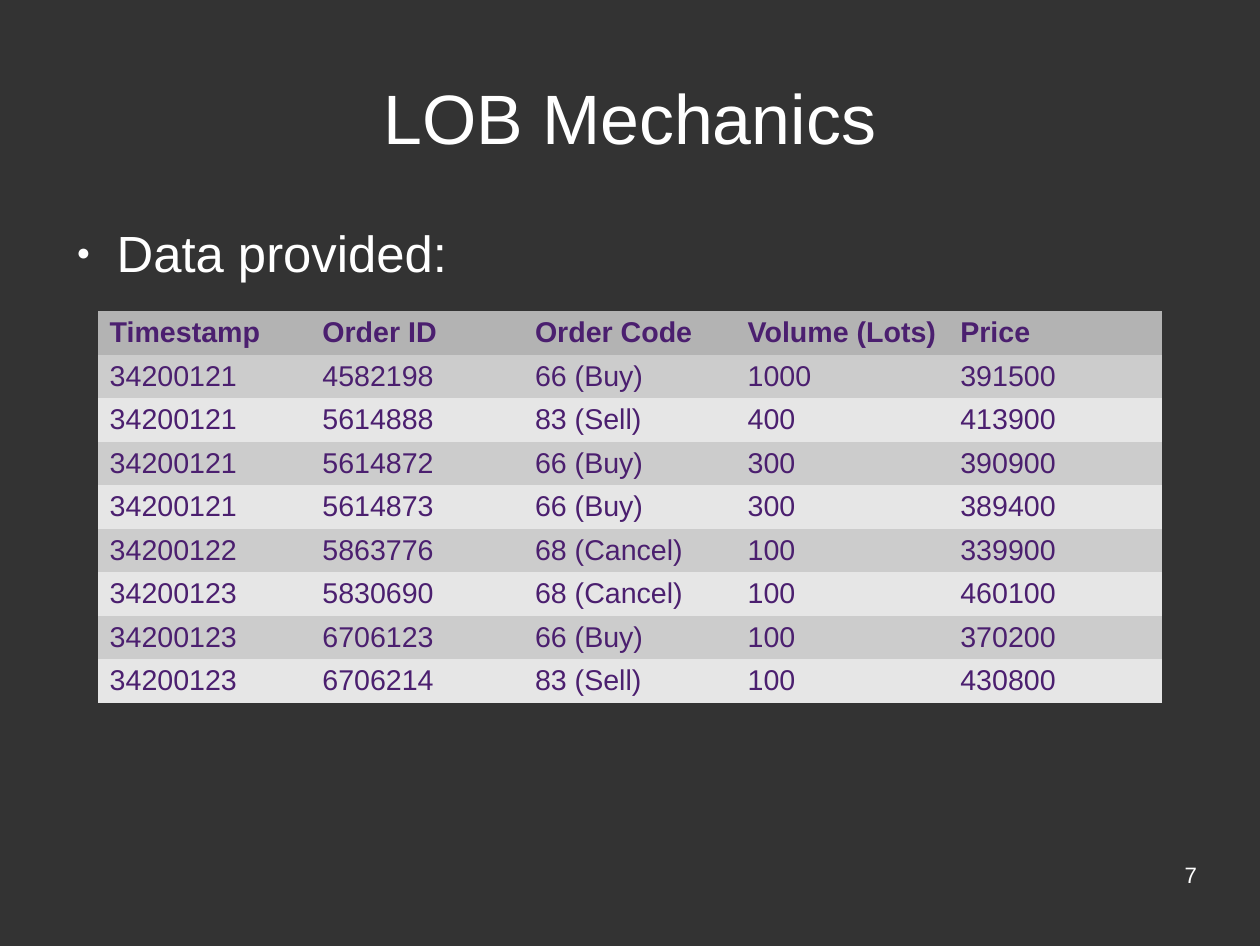
"""Build the LOB Mechanics slide with its table of order data."""
from dataclasses import astuple, dataclass

import lxml.etree
import pptx
import pptx.dml.color
import pptx.enum.text
import pptx.oxml.ns
import pptx.presentation
import pptx.shapes.base
import pptx.slide
import pptx.table
import pptx.text.text
import pptx.util

Inches = pptx.util.Inches
RGBColor = pptx.dml.color.RGBColor
Align = pptx.enum.text.PP_ALIGN
Anchor = pptx.enum.text.MSO_ANCHOR
qn = pptx.oxml.ns.qn

BACKGROUND = RGBColor(0x33, 0x33, 0x33)
WHITE = RGBColor(0xFF, 0xFF, 0xFF)
PURPLE = RGBColor(0x4B, 0x1F, 0x6F)
HEADER_GREY = RGBColor(0xB3, 0xB3, 0xB3)
BAND_GREYS = (RGBColor(0xCC, 0xCC, 0xCC), RGBColor(0xE6, 0xE6, 0xE6))
FONT = "Arial"
PLAIN_TABLE_STYLE = "{2D5ABB26-0587-4C30-8999-92F81FD0307C}"
COLUMN_WIDTH, ROW_HEIGHT = 1.86, 0.38


@dataclass(frozen=True)
class Order:
    timestamp: str
    order_id: str
    code: str
    volume: str
    price: str


HEADINGS = Order("Timestamp", "Order ID", "Order Code", "Volume (Lots)", "Price")
ORDERS = [
    Order("34200121", "4582198", "66 (Buy)", "1000", "391500"),
    Order("34200121", "5614888", "83 (Sell)", "400", "413900"),
    Order("34200121", "5614872", "66 (Buy)", "300", "390900"),
    Order("34200121", "5614873", "66 (Buy)", "300", "389400"),
    Order("34200122", "5863776", "68 (Cancel)", "100", "339900"),
    Order("34200123", "5830690", "68 (Cancel)", "100", "460100"),
    Order("34200123", "6706123", "66 (Buy)", "100", "370200"),
    Order("34200123", "6706214", "83 (Sell)", "100", "430800"),
]


def style(paragraph: pptx.text.text._Paragraph, size: float, color: RGBColor,
          bold: bool = False) -> None:
    for run in paragraph.runs:
        run.font.name = FONT
        run.font.size = pptx.util.Pt(size)
        run.font.bold = bold
        run.font.color.rgb = color


def write(shape: pptx.shapes.base.BaseShape, box: tuple[float, float, float, float],
          text: str, size: float, align: Align,
          anchor: Anchor = Anchor.TOP) -> pptx.text.text._Paragraph:
    shape.left, shape.top, shape.width, shape.height = map(Inches, box)
    frame = shape.text_frame
    frame.text = text
    frame.word_wrap = True
    frame.auto_size = pptx.enum.text.MSO_AUTO_SIZE.NONE
    frame.vertical_anchor = anchor
    frame.margin_left = frame.margin_top = frame.margin_right = frame.margin_bottom = 0
    paragraph = frame.paragraphs[0]
    paragraph.alignment = align
    paragraph.space_before = pptx.util.Pt(0)
    style(paragraph, size, WHITE)
    return paragraph


def add_bullet(paragraph: pptx.text.text._Paragraph) -> None:
    paragraph.space_after = pptx.util.Pt(14.1)
    properties = paragraph._p.get_or_add_pPr()
    properties.set("marL", str(Inches(0.47)))
    properties.set("indent", str(Inches(-0.35)))
    color = lxml.etree.SubElement(properties, qn("a:buClr"))
    lxml.etree.SubElement(color, qn("a:srgbClr"), val=str(WHITE))
    lxml.etree.SubElement(properties, qn("a:buSzPct"), val="45000")
    lxml.etree.SubElement(properties, qn("a:buChar"), char="●")


def fill_row(table: pptx.table.Table, index: int, order: Order,
             fill: RGBColor, bold: bool = False) -> None:
    table.rows[index].height = Inches(ROW_HEIGHT)
    for cell, value in zip(table.rows[index].cells, astuple(order)):
        cell.text = value
        cell.fill.solid()
        cell.fill.fore_color.rgb = fill
        style(cell.text_frame.paragraphs[0], 18, PURPLE, bold)


def add_orders(slide: pptx.slide.Slide) -> None:
    columns = len(astuple(HEADINGS))
    rows = len(ORDERS) + 1
    table = slide.shapes.add_table(
        rows, columns, Inches(0.86), Inches(2.72),
        Inches(columns * COLUMN_WIDTH), Inches(rows * ROW_HEIGHT)).table
    table._tbl.tblPr.find(qn("a:tableStyleId")).text = PLAIN_TABLE_STYLE
    fill_row(table, 0, HEADINGS, HEADER_GREY, bold=True)
    for index, order in enumerate(ORDERS):
        fill_row(table, index + 1, order, BAND_GREYS[index % 2])


def main() -> None:
    deck = pptx.Presentation()
    deck.slide_width, deck.slide_height = Inches(11.02), Inches(8.27)
    slide = deck.slides.add_slide(deck.slide_layouts[1])
    slide.background.fill.solid()
    slide.background.fill.fore_color.rgb = BACKGROUND

    write(slide.shapes.title, (0.55, 0.33, 9.92, 1.38), "LOB Mechanics", 44,
          Align.CENTER, Anchor.MIDDLE)
    data_provided = write(slide.placeholders[1], (0.55, 1.94, 10.05, 4.8),
                          "Data provided:", 32, Align.LEFT)
    add_bullet(data_provided)
    add_orders(slide)
    page_number = slide.shapes.add_textbox(0, 0, 0, 0)
    write(page_number, (7.9, 7.53, 2.57, 0.57), "7", 14, Align.RIGHT)
    deck.save("out.pptx")


if __name__ == "__main__":
    main()
